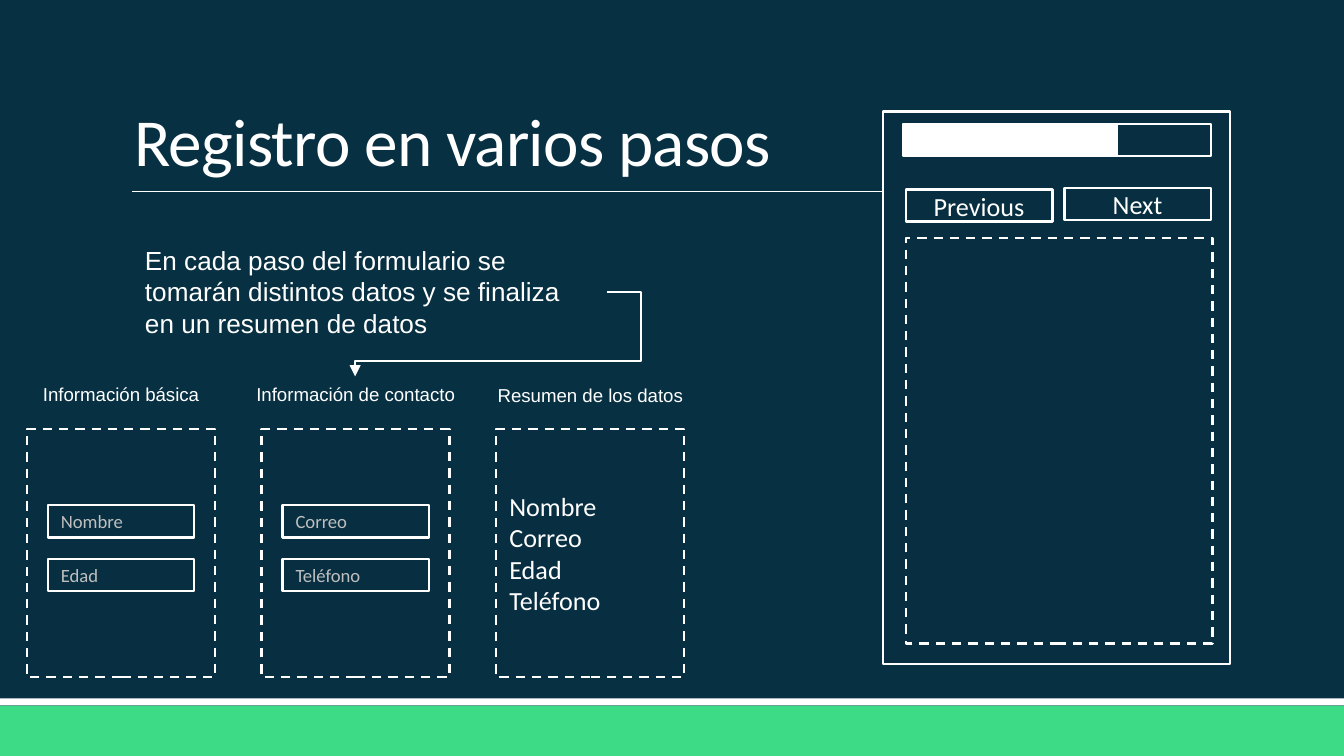
"""Build a slide on a sign-up form split into several steps."""
import pptx
import pptx.util
import pptx.dml.color
import pptx.enum.dml
import pptx.enum.shapes
import pptx.enum.text
import lxml.etree
import pptx.oxml.ns

Pt = pptx.util.Pt
qn = pptx.oxml.ns.qn
ALIGN = pptx.enum.text.PP_ALIGN
ANCHOR = pptx.enum.text.MSO_ANCHOR
LINK = pptx.enum.shapes.MSO_CONNECTOR
RECT = pptx.enum.shapes.MSO_SHAPE.RECTANGLE

HUES = {"back": "073042", "panel": "072F41", "white": "FFFFFF",
        "green": "3DDB85", "hint": "BFBFBF"}
TITLE = "Registro en varios pasos"
BODY = ("En cada paso del formulario se tomarán distintos datos "
        "y se finaliza en un resumen de datos")
STEPS = [
    {"name": "Información básica", "top": 201.6, "fields": ["Nombre", "Edad"]},
    {"name": "Información de contacto", "top": 201.6, "fields": ["Correo", "Teléfono"]},
    {"name": "Resumen de los datos", "top": 202.3, "fields": [],
     "list": "Nombre\nCorreo\nEdad\nTeléfono"},
]
BUTTONS = [("Previous", 485.3, 101.5), ("Next", 570.2, 100.8)]

CARD_X, CARD_Y, CARD_W, CARD_H, STEP = 14.4, 229.7, 100.8, 133.2, 125.7
FIELD_W, FIELD_H, FIELD_Y, FIELD_GAP = 78.5, 17.3, 270.7, 28.8
NAME_W, NAME_H = 122.4, 19.4

deck = pptx.Presentation()
deck.slide_width, deck.slide_height = Pt(720), Pt(405)
slide = deck.slides.add_slide(deck.slide_layouts[6])


def hue(name):
    return pptx.dml.color.RGBColor.from_string(HUES[name])


def write(shape, text, size, font="Calibri", color="white",
          align=ALIGN.LEFT, anchor=ANCHOR.MIDDLE):
    frame = shape.text_frame
    frame.word_wrap = True
    frame.vertical_anchor = anchor
    frame.text = text
    for para in frame.paragraphs:
        para.alignment = align
        for run in para.runs:
            run.font.size = Pt(size)
            run.font.name = font
            run.font.color.rgb = hue(color)


def box(x, y, w, h, fill="panel", edge=True, dash=False):
    shape = slide.shapes.add_shape(RECT, Pt(x), Pt(y), Pt(w), Pt(h))
    shape.shadow.inherit = False
    shape.fill.solid()
    shape.fill.fore_color.rgb = hue(fill)
    if edge:
        shape.line.color.rgb = hue("white")
        shape.line.width = Pt(1.25)
    else:
        shape.line.fill.background()
    if dash:
        shape.line.dash_style = pptx.enum.dml.MSO_LINE.DASH
    return shape


def label(x, y, w, h, text, size, **style):
    area = slide.shapes.add_textbox(Pt(x), Pt(y), Pt(w), Pt(h))
    write(area, text, size, **style)
    return area


def link(kind, x1, y1, x2, y2, width):
    line = slide.shapes.add_connector(kind, Pt(x1), Pt(y1), Pt(x2), Pt(y2))
    line.line.color.rgb = hue("white")
    line.line.width = Pt(width)
    lxml.etree.SubElement(line._element.spPr, qn("a:effectLst"))
    return line


slide.background.fill.solid()
slide.background.fill.fore_color.rgb = hue("back")
box(0, 378, 720, 27, "green", edge=False)
box(0, 374.2, 720, 3.8, "white", edge=False)
link(LINK.STRAIGHT, 70.6, 102.7, 658.8, 102.7, 0.5)

title = label(64.8, 17.3, 594, 85.7, TITLE, 36, anchor=ANCHOR.BOTTOM)
frame = title.text_frame
frame.margin_left = frame.margin_right = Pt(7.2)
frame.margin_top = frame.margin_bottom = Pt(7.2)
frame.paragraphs[0].line_spacing = 0.75
frame.paragraphs[0].runs[0].font._element.set("spc", "-40")

box(473, 59.8, 185.8, 295.9)
label(70.6, 127.4, 254.9, 58.3, BODY, 14, font="Arial", anchor=ANCHOR.TOP)

arrow = link(LINK.ELBOW, 325.4, 156.5, 190.3, 201.6, 1)
geom = arrow._element.spPr.find(qn("a:prstGeom"))
geom.set("prst", "bentConnector4")
guides = geom.get_or_add_avLst()
for name, value in (("adj1", -13300), ("adj2", 82200)):
    lxml.etree.SubElement(guides, qn("a:gd"), name=name, fmla=f"val {value}")
lxml.etree.SubElement(arrow.line._get_or_add_ln(), qn("a:tailEnd"), type="triangle")

box(484.4, 66.4, 164.2, FIELD_H)
box(483.8, 66.4, 114.5, FIELD_H, "white")
box(485.3, 127.4, 164.2, 217.4, dash=True)
for text, x, y in BUTTONS:
    write(box(x, y, FIELD_W, FIELD_H), text, 14, align=ALIGN.CENTER)

for col, step in enumerate(STEPS):
    x = CARD_X + col * STEP
    card = box(x, CARD_Y, CARD_W, CARD_H, dash=True)
    if "list" in step:
        write(card, step["list"], 14)
    for row, text in enumerate(step["fields"]):
        field = box(x + (CARD_W - FIELD_W) / 2, FIELD_Y + row * FIELD_GAP, FIELD_W, FIELD_H)
        write(field, text, 10, color="hint")
    label(x + (CARD_W - NAME_W) / 2, step["top"], NAME_W, NAME_H, step["name"], 10,
          font="Arial", align=ALIGN.CENTER, anchor=ANCHOR.TOP)

deck.save("out.pptx")
